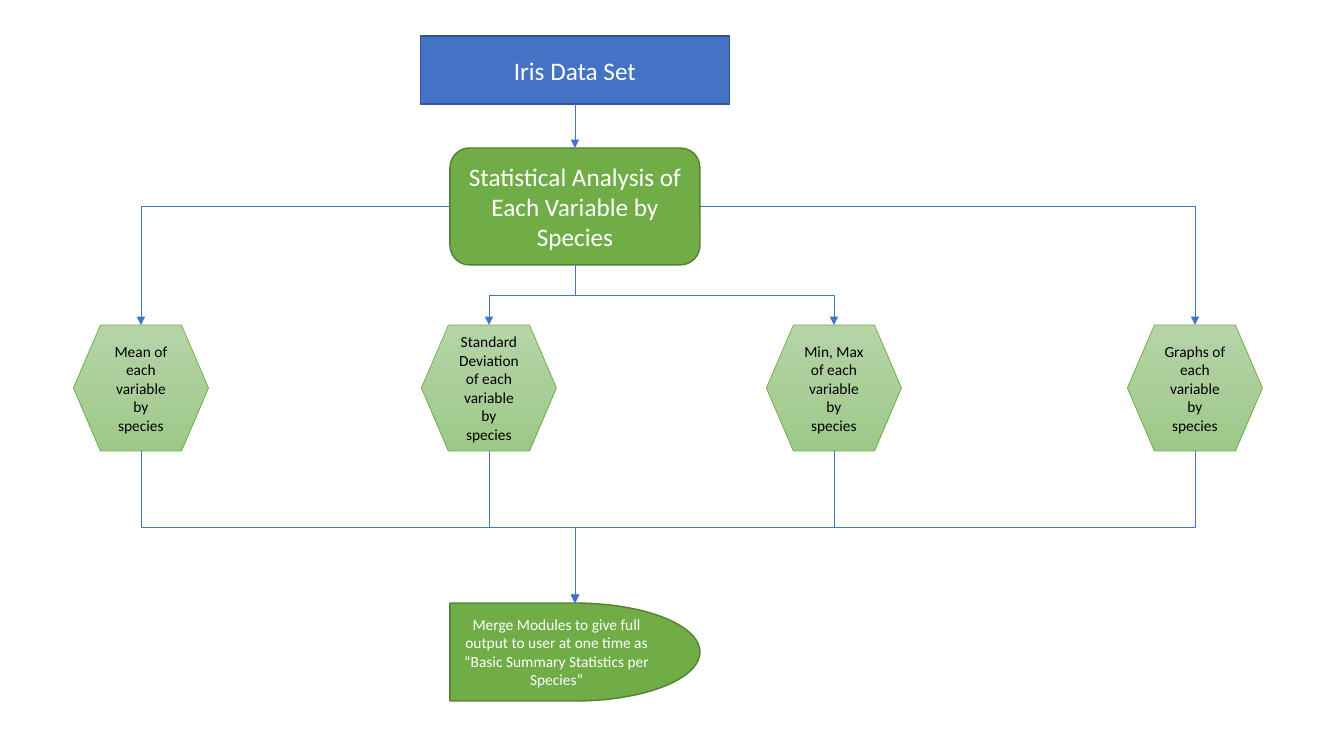
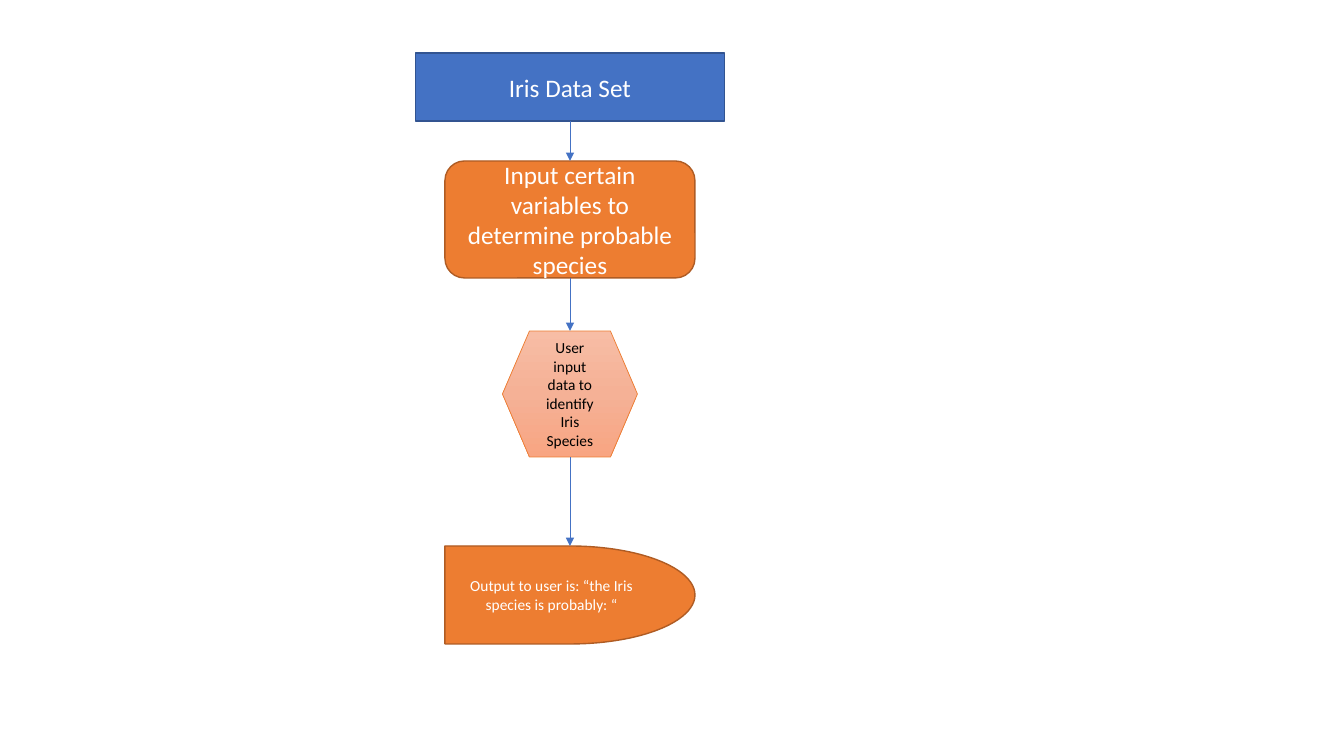
"""Build two flowcharts for the Iris data set."""
from copy import deepcopy
from dataclasses import dataclass

from lxml.etree import SubElement
from pptx import Presentation
from pptx.dml.color import RGBColor
from pptx.enum.shapes import MSO_CONNECTOR as Link, MSO_SHAPE as Shape
from pptx.enum.text import MSO_ANCHOR as Anchor, PP_ALIGN as Align
from pptx.oxml.ns import qn
from pptx.util import Emu, Pt

SLIDE_W, SLIDE_H = 1344, 756
EMU_PER_PX = 12192000 / SLIDE_W
TOP, LEFT, BOTTOM, RIGHT = range(4)


@dataclass(frozen=True)
class Palette:
    """Colours of one family of steps."""
    fill: str
    border: str
    gradient: tuple = ()


@dataclass(frozen=True)
class Theme:
    """Colours, type sizes and line widths of both slides."""
    blue: Palette = Palette("4472C4", "325491")
    green: Palette = Palette("70AD47", "538035", ("B5D5A7", "AACE9A", "9CC987"))
    orange: Palette = Palette("ED7D31", "AF5C24", ("F7BDA5", "F5B196", "F8A582"))
    light: str = "FFFFFF"
    dark: str = "000000"
    font: str = "Calibri"
    large: int = 18
    small: int = 11
    border_width: float = 1
    thin_width: float = 0.5


THEME = Theme()


def px(length):
    """Convert pixels to EMU."""
    return Emu(round(length * EMU_PER_PX))


def rgb(code):
    """Return the colour of a hex code."""
    return RGBColor.from_string(code)


def add_step(slide, kind, center, top, size, text, palette, font_size, color=THEME.light):
    """Add a solid flowchart step centred on a pixel column."""
    width, height = size
    step = slide.shapes.add_shape(
        kind, px(center - width / 2), px(top), px(width), px(height))
    step.shadow.inherit = False
    step.fill.solid()
    step.fill.fore_color.rgb = rgb(palette.fill)
    step.line.color.rgb = rgb(palette.border)
    step.line.width = Pt(THEME.border_width)
    frame = step.text_frame
    frame.text = text
    frame.word_wrap = True
    frame.vertical_anchor = Anchor.MIDDLE
    paragraph = frame.paragraphs[0]
    paragraph.alignment = Align.CENTER
    font = paragraph.runs[0].font
    font.name, font.size = THEME.font, Pt(font_size)
    font.color.rgb = rgb(color)
    return step


def add_source(slide, center, top):
    """Add the data set box that starts a flow."""
    return add_step(slide, Shape.FLOWCHART_PROCESS, center, top, (309, 68),
                    "Iris Data Set", THEME.blue, THEME.large)


def add_task(slide, center, top, text, palette):
    """Add the rounded main task."""
    return add_step(slide, Shape.FLOWCHART_ALTERNATE_PROCESS, center, top,
                    (250, 117), text, palette, THEME.large)


def add_module(slide, center, top, text, palette):
    """Add a hexagonal module with a vertical gradient."""
    module = add_step(slide, Shape.FLOWCHART_PREPARATION, center, top, (135, 126),
                      text, palette, THEME.small, THEME.dark)
    module.line.color.rgb = rgb(palette.fill)
    module.line.width = Pt(THEME.thin_width)
    module.fill.gradient()
    module.fill.gradient_angle = 270
    stops = module._element.spPr.find(".//" + qn("a:gsLst"))
    stops.insert(1, deepcopy(stops[0]))
    for index, stop in enumerate(module.fill.gradient_stops):
        stop.position = index / 2
        stop.color.rgb = rgb(palette.gradient[index])
    return module


def add_output(slide, center, top, text, palette):
    """Add the output that ends a flow."""
    return add_step(slide, Shape.FLOWCHART_DELAY, center, top, (250, 98),
                    text, palette, THEME.small)


def add_arrow(slide, origin, target, side=BOTTOM, link=Link.STRAIGHT):
    """Glue an arrow from a side of one step to the top of another."""
    arrow = slide.shapes.add_connector(link, 0, 0, 0, 0)
    arrow.begin_connect(origin, side)
    arrow.end_connect(target, TOP)
    arrow.line.color.rgb = rgb(THEME.blue.fill)
    arrow.line.width = Pt(THEME.thin_width)
    properties = arrow._element.spPr
    SubElement(properties.find(qn("a:ln")), qn("a:tailEnd"), type="triangle")
    SubElement(properties, qn("a:effectLst"))
    return arrow


def add_side_arrow(slide, origin, target, side):
    """Add an arrow that leaves sideways and turns down once."""
    arrow = add_arrow(slide, origin, target, side, Link.ELBOW)
    arrow._element.spPr.find(qn("a:prstGeom")).set("prst", "bentConnector2")


def add_down_arrow(slide, origin, target):
    """Add an arrow that leaves downwards and turns twice."""
    arrow = add_arrow(slide, origin, target, BOTTOM, Link.ELBOW)
    goes_right = arrow.end_x > arrow.begin_x
    across, down = arrow.width, arrow.height
    shift = (across - down) // 2
    arrow.left, arrow.top = Emu(arrow.left + shift), Emu(arrow.top - shift)
    arrow.width, arrow.height = down, across
    frame = arrow._element.spPr.find(qn("a:xfrm"))
    frame.set("rot", str((270 if goes_right else 90) * 60000))
    frame.set("flipH", "1" if goes_right else "0")


def build_statistics(slide):
    """Draw the statistics flow with its four modules."""
    center, palette = 575, THEME.green
    source = add_source(slide, center, 36)
    analysis = add_task(slide, center, 148,
                        "Statistical Analysis of Each Variable by Species", palette)
    measures = ((141, "Mean"), (489, "Standard Deviation"),
                (834, "Min, Max"), (1195, "Graphs"))
    modules = [add_module(slide, column, 325, f"{measure} of each variable by species", palette)
               for column, measure in measures]
    summary = add_output(
        slide, center, 603,
        "Merge Modules to give full output to user at one time as "
        "“Basic Summary Statistics per Species”", palette)
    add_arrow(slide, source, analysis)
    mean, deviation, extremes, graphs = modules
    add_side_arrow(slide, analysis, mean, LEFT)
    add_side_arrow(slide, analysis, graphs, RIGHT)
    for module in (deviation, extremes):
        add_down_arrow(slide, analysis, module)
    for module in modules:
        add_down_arrow(slide, module, summary)


def build_prediction(slide):
    """Draw the species prediction flow."""
    center, palette = 570, THEME.orange
    steps = [
        add_source(slide, center, 53),
        add_task(slide, center, 161,
                 "Input certain variables to determine probable species", palette),
        add_module(slide, center, 331, "User input data to identify Iris Species", palette),
        add_output(slide, center, 546,
                   "Output to user is: “the Iris species is probably: “", palette),
    ]
    for origin, target in zip(steps, steps[1:]):
        add_arrow(slide, origin, target)


def main():
    """Build and save the presentation."""
    deck = Presentation()
    deck.slide_width, deck.slide_height = px(SLIDE_W), px(SLIDE_H)
    blank = deck.slide_layouts[6]
    for build in (build_statistics, build_prediction):
        build(deck.slides.add_slide(blank))
    deck.save("out.pptx")


main()
